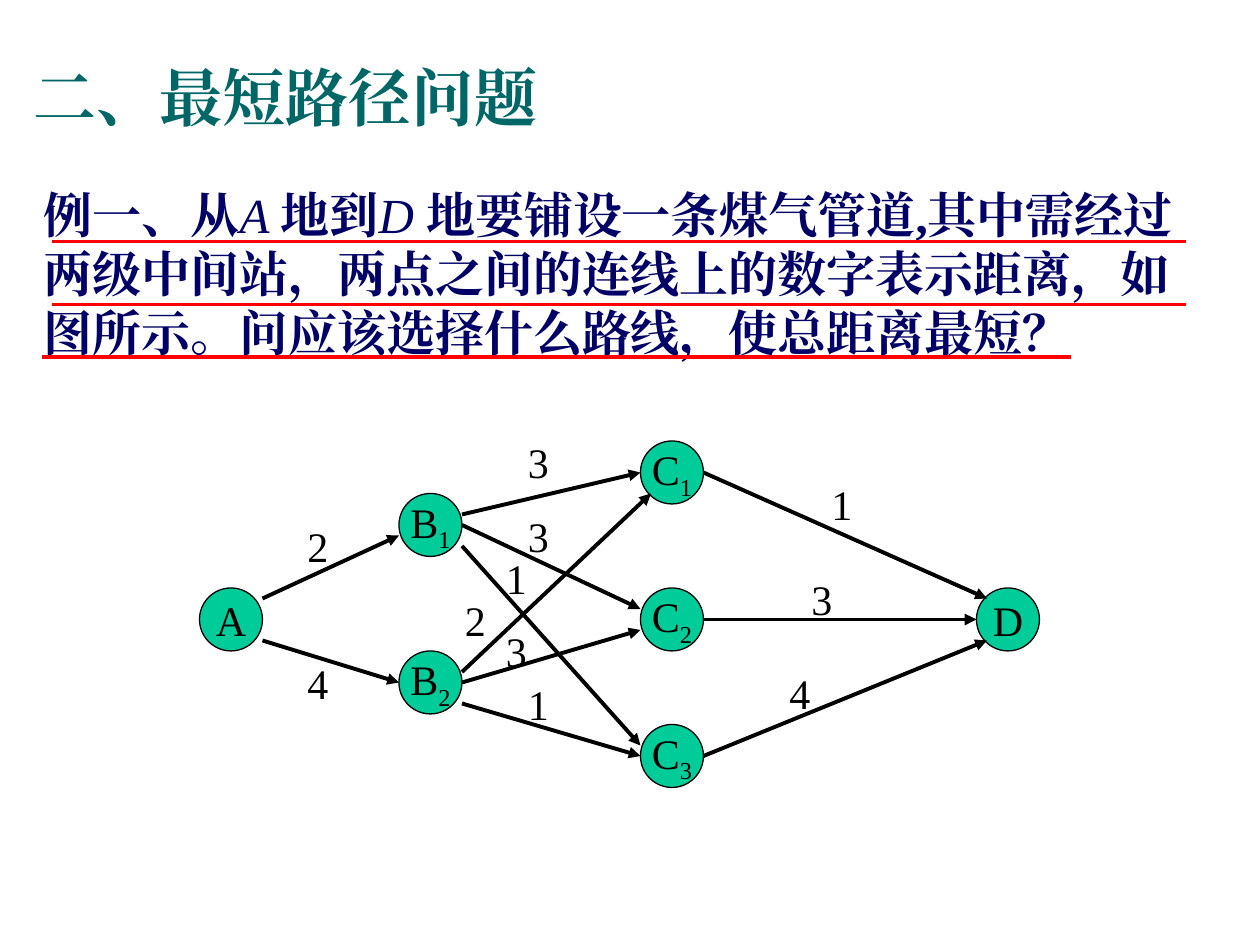
from pptx import Presentation
from pptx.dml.color import RGBColor
from pptx.enum.shapes import MSO_CONNECTOR, MSO_SHAPE
from pptx.enum.text import MSO_ANCHOR, PP_ALIGN
from pptx.oxml.ns import qn
from pptx.util import Emu, Pt
from lxml.etree import SubElement

SCALE = 7620  # EMU per px: 120 px to the inch
FONT = "Times New Roman"
NODE = 60
LABEL = (43, 60)

TITLE_FORMAT = {"size": 36, "color": "006666", "bold": True}
BODY_FORMAT = {"size": 28, "color": "000066", "bold": True}
PLACE_FORMAT = {"size": 28, "color": "000066", "italic": True, "bold": False}
GRAPH_FORMAT = {"size": 24, "color": "000000"}

TITLE = [("二、最短路径问题", TITLE_FORMAT)]
PROBLEM = [
    ("例一、从", BODY_FORMAT),
    ("A ", PLACE_FORMAT),
    ("地到", BODY_FORMAT),
    ("D ", PLACE_FORMAT),
    ("地要铺设一条煤气管道,其中需经过两级中间站，两点之间的连线上的数字表示距离，"
     "如图所示。问应该选择什么路线，使总距离最短？", BODY_FORMAT),
]
# left, right, y
UNDERLINES = [(50, 1130, 230), (50, 1130, 290), (40, 1020, 340)]

# name: left, top
NODES = {
    "A": (190, 560),
    "B1": (380, 470), "B2": (380, 620),
    "C1": (610, 420), "C2": (610, 560), "C3": (610, 690),
    "D": (930, 560),
}

# start, end, rise at start, (inset, rise) at end, distance, label left and top
ROUTES = [
    ("A", "B1", -20, (0, 10), "2", (281, 490)),
    ("A", "B2", 20, (0, 0), "4", (281, 620)),
    ("B1", "C1", -10, (0, 0), "3", (491, 410)),
    ("B1", "C2", 0, (0, -10), "3", (491, 480)),
    ("B1", "C3", 20, (0, -10), "1", (470, 520)),
    ("B2", "C1", -10, (10, 20), "2", (431, 560)),
    ("B2", "C2", 0, (0, 10), "3", (470, 590)),
    ("B2", "C3", 20, (0, 0), "1", (491, 640)),
    ("C1", "D", 0, (10, -20), "1", (780, 450)),
    ("C2", "D", 0, (0, 0), "3", (761, 540)),
    ("C3", "D", 0, (10, 20), "4", (740, 630)),
]


def px(*lengths):
    return [Emu(length * SCALE) for length in lengths]


def color(value):
    return RGBColor.from_string(value)


def write(paragraph, spans):
    for text, style in spans:
        span = paragraph.add_run()
        span.text = text
        font = span.font
        for key, value in ({"name": FONT} | style).items():
            if key == "color":
                font.color.rgb = color(value)
            else:
                setattr(font, key, Pt(value) if key == "size" else value)
        SubElement(font._element, qn("a:ea")).set("typeface", FONT)


def add_text(page, area, spans, wrap=True):
    box = page.shapes.add_textbox(*px(*area))
    box.text_frame.word_wrap = wrap
    write(box.text_frame.paragraphs[0], spans)


def add_line(page, start, end, value, arrow=False):
    line = page.shapes.add_connector(MSO_CONNECTOR.STRAIGHT, *px(*start, *end))
    line.line.color.rgb = color(value)
    line.line.width = Pt(2.25)
    if arrow:
        SubElement(line.line._get_or_add_ln(), qn("a:tailEnd")).set("type", "triangle")
    SubElement(line._element.spPr, qn("a:effectLst"))


def add_node(page, name, left, top):
    node = page.shapes.add_shape(MSO_SHAPE.OVAL, *px(left, top, NODE, NODE))
    node.shadow.inherit = False
    node.fill.solid()
    node.fill.fore_color.rgb = color("00CC99")
    node.line.color.rgb = color("000000")
    node.line.width = Pt(0.75)
    frame = node.text_frame
    frame.word_wrap = False
    frame.vertical_anchor = MSO_ANCHOR.MIDDLE
    paragraph = frame.paragraphs[0]
    paragraph.alignment = PP_ALIGN.CENTER
    write(paragraph, [(name[0], GRAPH_FORMAT)])
    if name[1:]:
        write(paragraph, [(name[1:], GRAPH_FORMAT)])
        paragraph.runs[1].font._element.set("baseline", "-25000")


def main():
    deck = Presentation()
    deck.slide_width, deck.slide_height = px(1200, 900)
    page = deck.slides.add_slide(deck.slide_layouts[6])

    # Title and problem statement
    add_text(page, (20, 50, 1020, 150), TITLE)
    add_text(page, (30, 170, 1140, 180), PROBLEM)
    for left, right, y in UNDERLINES:
        add_line(page, (left, y), (right, y), "FF0000")

    # Stations
    for name, (left, top) in NODES.items():
        add_node(page, name, left, top)

    # Pipelines run from the right edge of one station to the left of the next
    for start, end, rise, (inset, end_rise), distance, place in ROUTES:
        (x1, y1), (x2, y2) = NODES[start], NODES[end]
        middle = NODE // 2
        add_line(page, (x1 + NODE, y1 + middle + rise),
                 (x2 + inset, y2 + middle + end_rise), "000000", arrow=True)
        add_text(page, (*place, *LABEL), [(distance, GRAPH_FORMAT)], wrap=False)

    deck.save("out.pptx")


if __name__ == "__main__":
    main()
